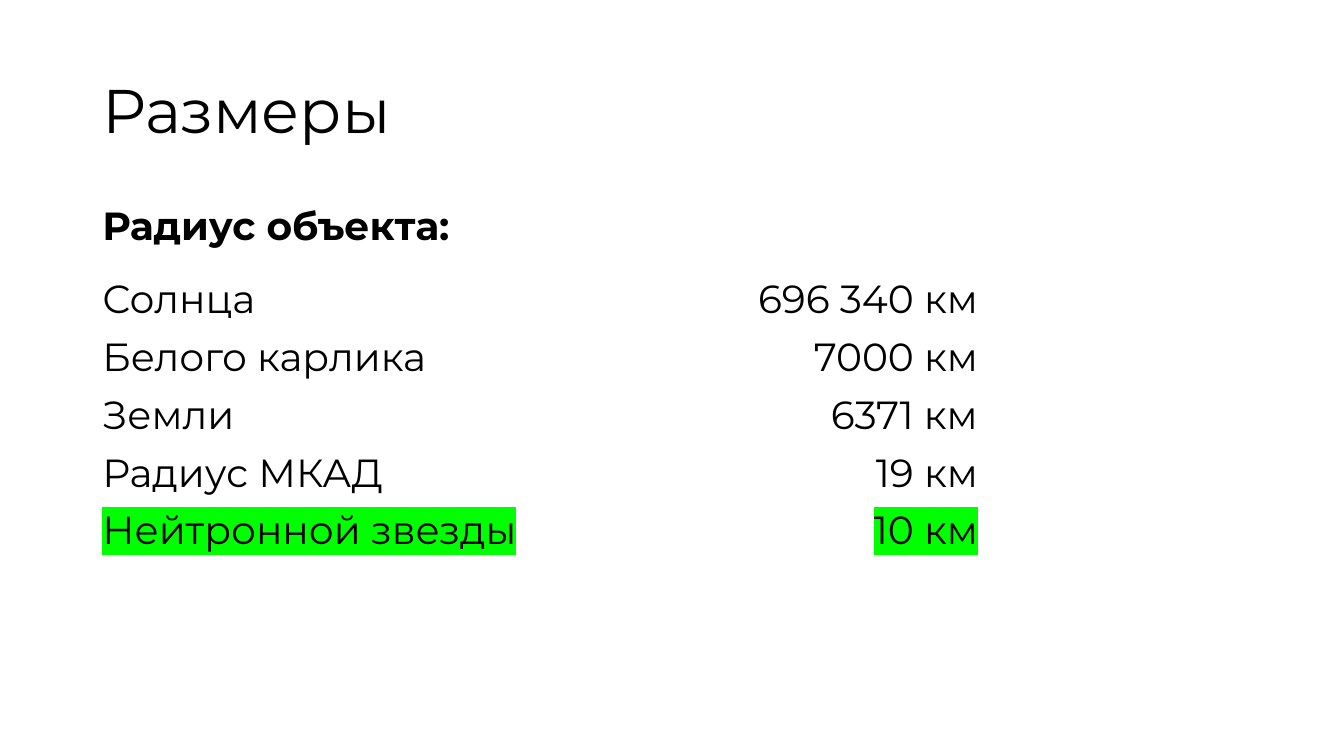
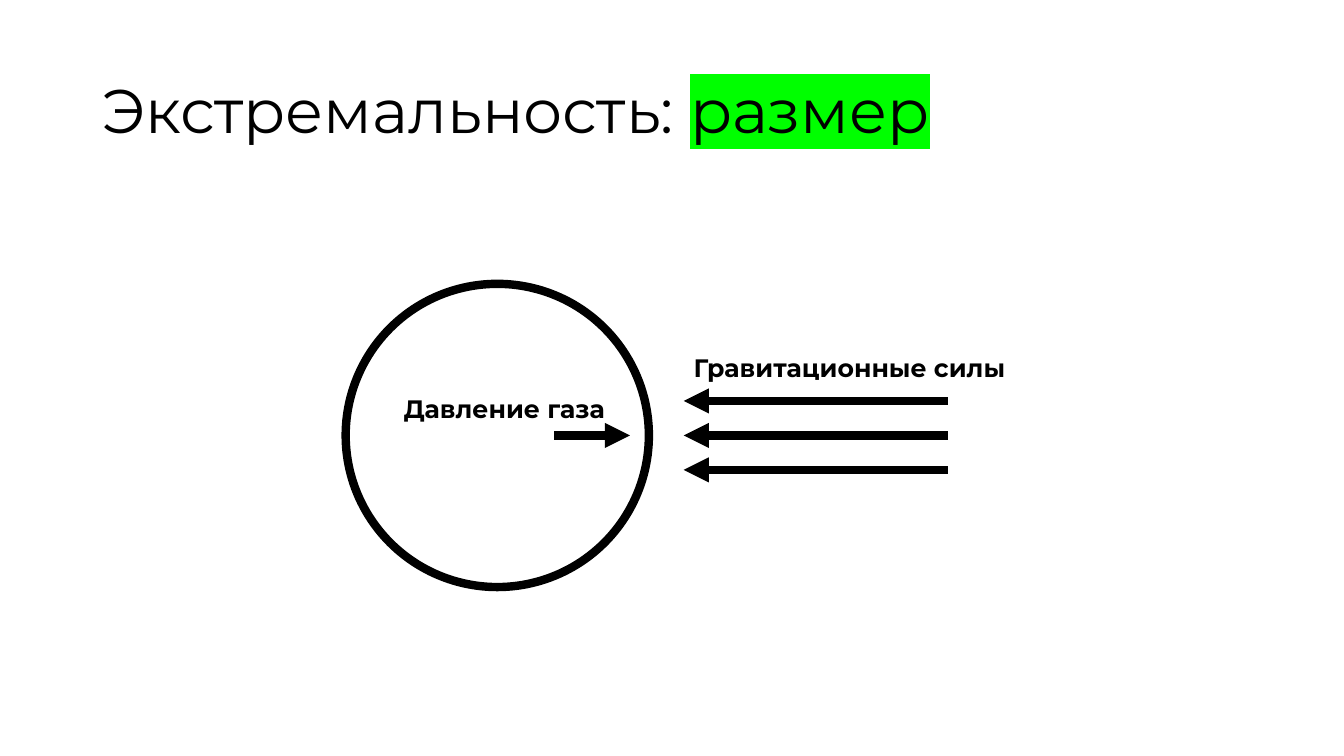
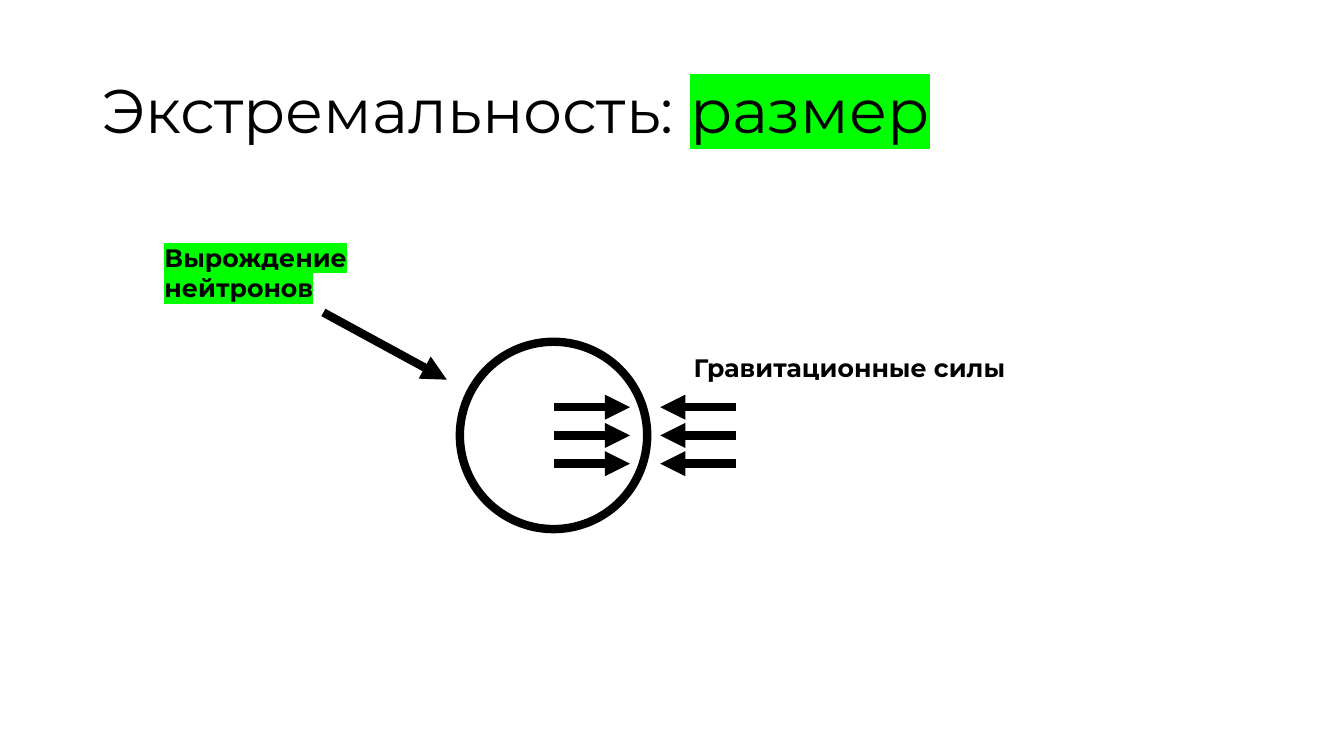
from lxml import etree
from pptx import Presentation
from pptx import util as u
from pptx.dml.color import RGBColor
from pptx.enum import shapes, text
from pptx.oxml import ns

BLACK = RGBColor(0, 0, 0)
GREEN = RGBColor(0, 255, 0)
FONT = "Montserrat"
CELL = u.Inches(1 / 12)
COLUMNS, ROWS = 160, 90
LEFT = 11
AXIS = 51.84  # row on which both stars are centred


def grid(*cells):
    """Turn counts of grid cells into lengths."""
    return [u.Emu(round(count * CELL)) for count in cells]


class Deck:
    """Holds the style and the current slide; places are in grid cells."""

    def __init__(self):
        self.file = Presentation()
        self.file.slide_width, self.file.slide_height = grid(COLUMNS, ROWS)
        self.page = None

    def add_page(self, *title):
        self.page = self.file.slides.add_slide(self.file.slide_layouts[6])
        box = self.add_text(LEFT, 4.8, 138, 17.4, [title], size=44, wrap=True)
        box.text_frame.vertical_anchor = text.MSO_ANCHOR.MIDDLE
        box.text_frame.paragraphs[0].line_spacing = 0.9

    def add_span(self, para, words, size, bold=False):
        """Add one run; words given as a (words, colour) pair are highlighted."""
        words, marker = words if isinstance(words, tuple) else (words, None)
        span = para.add_run()
        span.text = words
        span.font.size = u.Pt(size)
        span.font.bold = bold
        span.font.color.rgb = BLACK
        span.font.name = FONT
        if marker is not None:
            highlight = etree.Element(ns.qn("a:highlight"))
            etree.SubElement(highlight, ns.qn("a:srgbClr"), val=str(marker))
            span.font._element.find(ns.qn("a:solidFill")).addnext(highlight)

    def add_text(self, left, top, width, height, lines, size, bold=False, wrap=False):
        """Add a text box; each line is a list of spans."""
        box = self.page.shapes.add_textbox(*grid(left, top, width, height))
        frame = box.text_frame
        frame.word_wrap = wrap
        frame.auto_size = text.MSO_AUTO_SIZE.NONE if wrap else text.MSO_AUTO_SIZE.SHAPE_TO_FIT_TEXT
        para = frame.paragraphs[0]
        for number, line in enumerate(lines):
            if number:
                para.add_line_break()
            for words in line:
                self.add_span(para, words, size, bold)
        return box

    def add_label(self, left, top, width, *lines):
        self.add_text(left, top, width, 1.1 + 3.7 * len(lines),
                      [[line] for line in lines], size=18, bold=True)

    def add_table(self, left, top, widths, row_height, rows):
        """Add a plain table with the last column aligned right."""
        frame = self.page.shapes.add_table(
            len(rows), len(widths),
            *grid(left, top, sum(widths), row_height * len(rows)))
        table = frame.table
        table.first_row = table.horz_banding = False
        for column, width in zip(table.columns, grid(*widths)):
            column.width = width
        for r, row in enumerate(rows):
            for c, words in enumerate(row):
                cell = table.cell(r, c)
                cell.fill.background()
                para = cell.text_frame.paragraphs[0]
                if c == len(widths) - 1:
                    para.alignment = text.PP_ALIGN.RIGHT
                if words:
                    self.add_span(para, words, 28)

    def set_stroke(self, line):
        line.color.rgb = BLACK
        line.width = u.Pt(6)

    def add_star(self, centre, radius):
        star = self.page.shapes.add_shape(
            shapes.MSO_SHAPE.OVAL,
            *grid(centre - radius, AXIS - radius, 2 * radius, 2 * radius))
        star.shadow.inherit = False
        star.fill.background()
        self.set_stroke(star.line)

    def add_arrow(self, x1, y1, x2, y2):
        """Draw an arrow that points at its second end."""
        arrow = self.page.shapes.add_connector(
            shapes.MSO_CONNECTOR.STRAIGHT, *grid(x1, y1, x2, y2))
        self.set_stroke(arrow.line)
        stroke = arrow._element.spPr.find(ns.qn("a:ln"))
        etree.SubElement(stroke, ns.qn("a:tailEnd"), type="triangle")
        etree.SubElement(arrow._element.spPr, ns.qn("a:effectLst"))

    def add_forces(self, start, end, gap=0, count=3):
        """Stack level arrows evenly around the axis."""
        for number in range(count):
            row = AXIS + (number - (count - 1) / 2) * gap
            self.add_arrow(start, row, end, row)

    def add_gravity_label(self):
        self.add_label(81.4, 41.3, 40.1, "Гравитационные силы")


def add_sizes(deck):
    deck.add_page("Размеры")
    deck.add_text(LEFT, 24, 91, 57, [["Радиус объекта:"]], size=28, bold=True,
                  wrap=True).text_frame.paragraphs[0].line_spacing = 0.9
    deck.add_table(LEFT, 32.2, (53.6, 53), 6.8, [
        ("Солнца", "696 340 км"),
        ("Белого карлика", "7000 км"),
        ("Земли", "6371 км"),
        ("Радиус МКАД", "19 км"),
        (("Нейтронной звезды", GREEN), ("10 км", GREEN)),
        ("", ""),
    ])


def add_gas_star(deck):
    deck.add_page("Экстремальность: ", ("размер", GREEN))
    deck.add_star(59.2, 18.05)
    deck.add_forces(66, 75, count=1)
    deck.add_forces(112.8, 81.4, gap=4.1)
    deck.add_label(46.9, 46.2, 26.6, "Давление газа")
    deck.add_gravity_label()


def add_neutron_star(deck):
    deck.add_page("Экстремальность: ", ("размер", GREEN))
    deck.add_star(65.9, 11.15)
    deck.add_forces(66, 75, gap=3.36)
    deck.add_forces(87.6, 78.6, gap=3.36)
    deck.add_gravity_label()
    deck.add_label(18.4, 28.2, 24.4, ("Вырождение", GREEN), ("нейтронов", GREEN))
    deck.add_arrow(38.5, 37.2, 53.2, 45.2)


def main():
    deck = Deck()
    add_sizes(deck)
    add_gas_star(deck)
    add_neutron_star(deck)
    deck.file.save("out.pptx")


if __name__ == "__main__":
    main()
